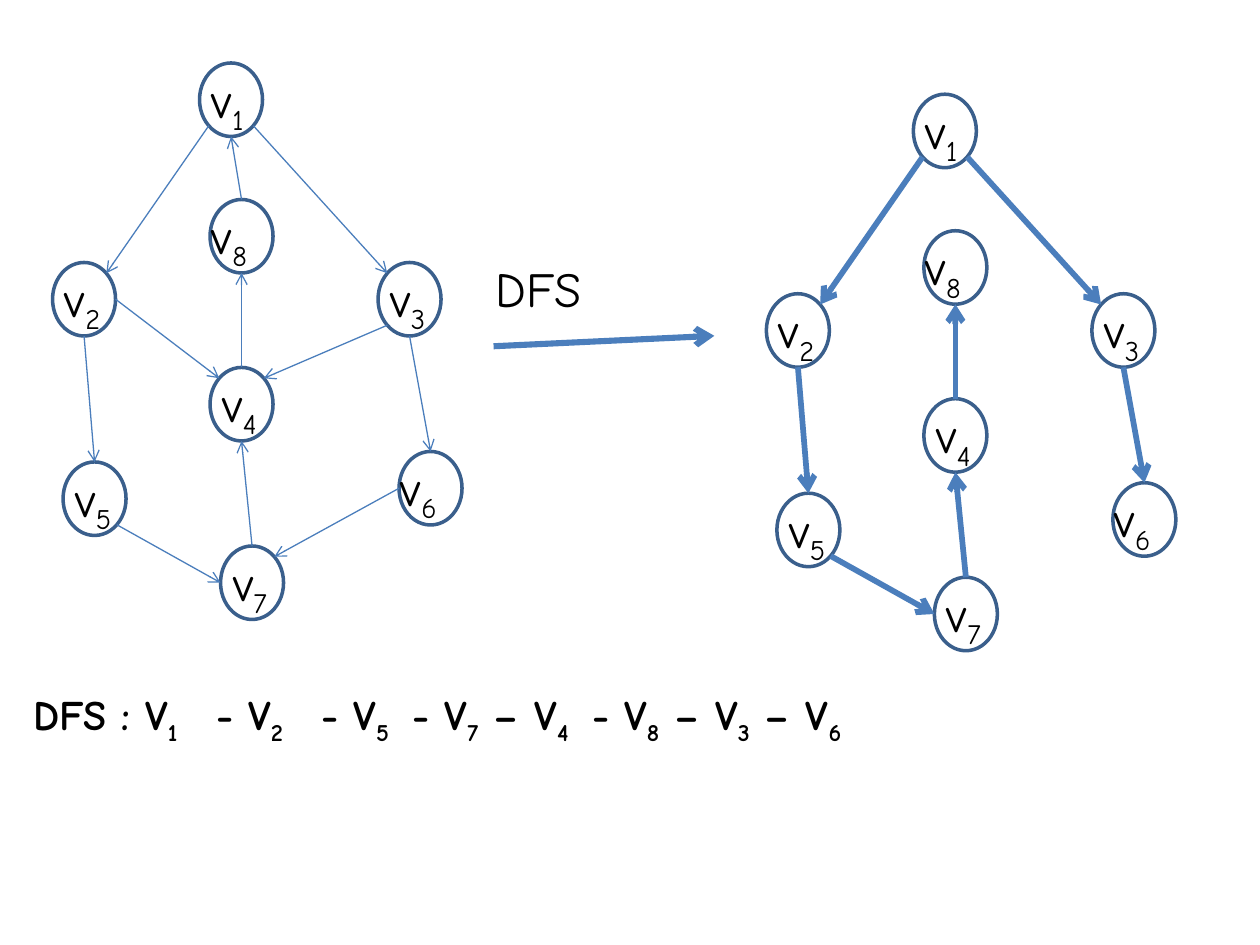
from math import cos, radians, sin

from lxml import etree
from pptx import Presentation
from pptx import util as u
from pptx.dml import color
from pptx.enum import shapes, text
from pptx.oxml import ns

COLORS = {"outline": "3A5F8C", "arrow": "4B7EBC", "text": "000000"}
FONT = "Comic Neue"
GRID = 2.54 / 12
NODE_WIDTH, NODE_HEIGHT = 6 * GRID, 7 * GRID
LABEL_WIDTH, LABEL_HEIGHT = 8 * GRID, 1.45

NODES = {
    1: (14, 0), 2: (0, 19), 3: (31, 19), 4: (15, 29),
    5: (1, 38), 6: (33, 37), 7: (16, 46), 8: (15, 13),
}
LABEL_SHIFTS = {6: -1, 8: -1}
SITE_ANGLES = {
    "right": 0, "bottom right": 45, "bottom": 90, "bottom left": 135,
    "left": 180, "top left": 225, "top": 270, "top right": 315,
}
TREE_EDGES = [
    (1, "bottom left", 2, "top right"),
    (1, "bottom right", 3, "top left"),
    (2, "bottom", 5, "top"),
    (5, "bottom right", 7, "left"),
    (7, "top", 4, "bottom"),
    (4, "top", 8, "bottom"),
    (3, "bottom", 6, "top"),
]
OTHER_EDGES = [
    (8, "top", 1, "bottom"),
    (2, "right", 4, "top left"),
    (3, "bottom left", 4, "top right"),
    (6, "left", 7, "top right"),
]


def rgb(name):
    return color.RGBColor.from_string(COLORS[name])


def add_text(parent, runs, left, top, width, height, size=28, bold=None):
    box = parent.shapes.add_textbox(u.Cm(left), u.Cm(top), u.Cm(width), u.Cm(height))
    frame = box.text_frame
    frame.word_wrap = True
    frame.auto_size = text.MSO_AUTO_SIZE.SHAPE_TO_FIT_TEXT
    paragraph = frame.paragraphs[0]
    for index, content in enumerate(runs):
        run = paragraph.add_run()
        run.text = content
        run.font.name = FONT
        run.font.size = u.Pt(size)
        run.font.bold = bold
        run.font.color.rgb = rgb("text")
        if index % 2:
            run.font._element.set("baseline", "-25000")


def add_arrow(parent, start, end, weight):
    points = [u.Cm(value) for value in (*start, *end)]
    connector = parent.shapes.add_connector(shapes.MSO_CONNECTOR.STRAIGHT, *points)
    connector.line.color.rgb = rgb("arrow")
    connector.line.width = u.Pt(weight)
    etree.SubElement(connector.line._get_or_add_ln(), ns.qn("a:tailEnd"), type="arrow")
    etree.SubElement(connector._element.spPr, ns.qn("a:effectLst"))


def add_graph(slide, left, top, edges, weight):
    group = slide.shapes.add_group_shape()
    corners = {
        number: (left + column * GRID, top + row * GRID)
        for number, (column, row) in NODES.items()
    }

    def site(number, side):
        x, y = corners[number]
        angle = radians(SITE_ANGLES[side])
        return (
            x + NODE_WIDTH * (1 + cos(angle)) / 2,
            y + NODE_HEIGHT * (1 + sin(angle)) / 2,
        )

    for x, y in corners.values():
        node = group.shapes.add_shape(
            shapes.MSO_SHAPE.OVAL, u.Cm(x), u.Cm(y), u.Cm(NODE_WIDTH), u.Cm(NODE_HEIGHT)
        )
        node.shadow.inherit = False
        node.fill.background()
        node.line.color.rgb = rgb("outline")
        node.line.width = u.Pt(2)

    for source, source_side, target, target_side in edges:
        add_arrow(group, site(source, source_side), site(target, target_side), weight)

    for number, (x, y) in corners.items():
        label_left = x + LABEL_SHIFTS.get(number, 0) * GRID
        add_text(group, ["v", str(number)], label_left, y, LABEL_WIDTH, LABEL_HEIGHT)


def add_transition(slide, left, top):
    add_arrow(slide, (left + 0.21, top + 1.9), (left + 4.66, top + 1.69), 3.5)
    add_text(slide, ["DFS"], left, top, 4.45, 1.45)


def add_visit_order(slide, left, top):
    runs = [
        "DFS : V", "1 ", "  - V", "2 ", "  - V", "5 ", " - V", "7",
        " – V", "4 ", " - V", "8", " – V", "3", " – V", "6",
    ]
    add_text(slide, runs, left, top, 23.5, 1.27, size=24, bold=True)


def main():
    presentation = Presentation()
    presentation.slide_width = u.Cm(25.4)
    presentation.slide_height = u.Cm(19.05)
    slide = presentation.slides.add_slide(presentation.slide_layouts[6])
    add_graph(slide, 1.06, 1.27, TREE_EDGES + OTHER_EDGES, 0.75)
    add_graph(slide, 15.45, 1.9, TREE_EDGES, 3.25)
    add_transition(slide, 9.74, 5.08)
    add_visit_order(slide, 0.42, 13.76)
    presentation.save("out.pptx")


if __name__ == "__main__":
    main()
